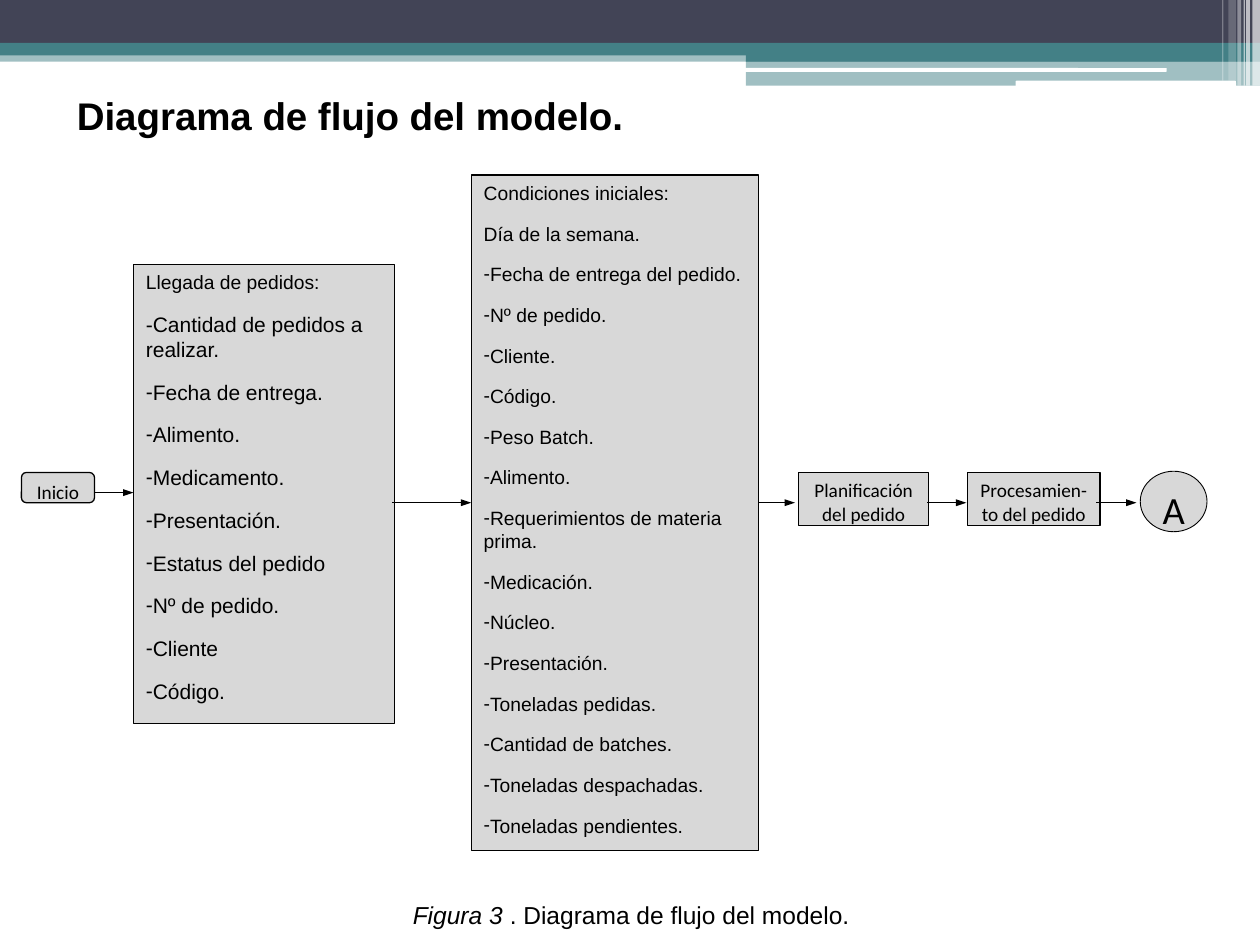
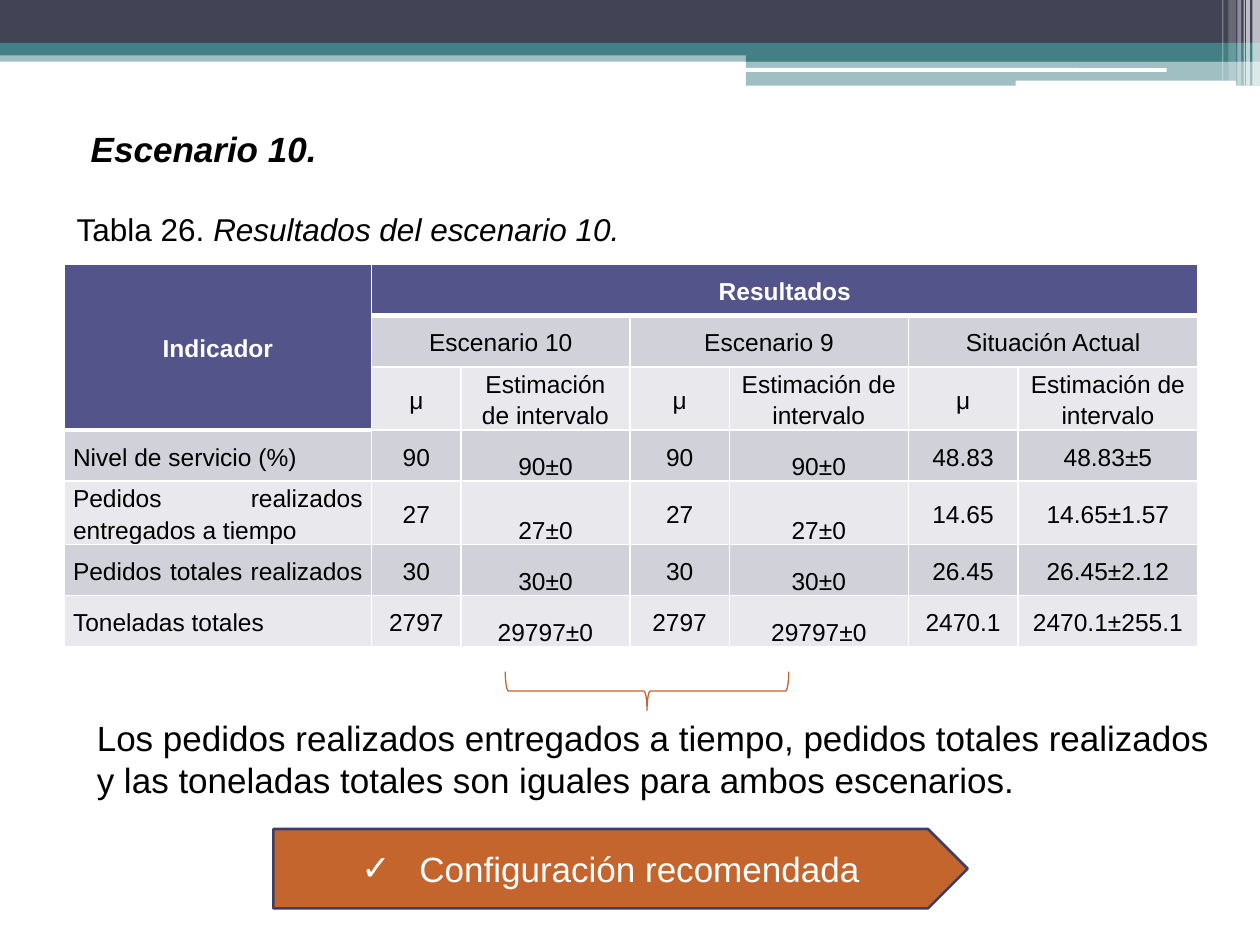
from dataclasses import dataclass

from lxml import etree
from pptx import Presentation
from pptx.dml.color import RGBColor
from pptx.enum.shapes import MSO_CONNECTOR, MSO_SHAPE
from pptx.enum.text import MSO_ANCHOR, PP_ALIGN
from pptx.oxml.ns import qn
from pptx.util import Inches, Pt

LEFT, CENTER, JUSTIFY = PP_ALIGN.LEFT, PP_ALIGN.CENTER, PP_ALIGN.JUSTIFY
TOP, MIDDLE, BOTTOM = MSO_ANCHOR.TOP, MSO_ANCHOR.MIDDLE, MSO_ANCHOR.BOTTOM
RECTANGLE, ROUNDED = MSO_SHAPE.RECTANGLE, MSO_SHAPE.ROUNDED_RECTANGLE
ELLIPSE, PENTAGON = MSO_SHAPE.OVAL, MSO_SHAPE.PENTAGON
BRACE = MSO_SHAPE.RIGHT_BRACE
STRAIGHT = MSO_CONNECTOR.STRAIGHT


@dataclass(frozen=True)
class Theme:
    font: str = "Arial"
    step_font: str = "Calibri"
    black: str = "000000"
    white: str = "FFFFFF"
    navy: str = "424456"
    teal: str = "438086"
    gray: str = "D8D8D8"
    header: str = "53548A"
    row_dark: str = "D1D1DA"
    row_light: str = "E9E9ED"
    orange: str = "C4652D"
    outline: str = "3D3E66"
    small: int = 11
    list_size: int = 12
    body: int = 14
    caption: int = 18
    large: int = 20
    title: int = 22


THEME = Theme()

BANDS = [
    (RECTANGLE, (0, 0.4, 10, 0.09), THEME.teal, 50),
    (RECTANGLE, (0, 0, 10, 0.34), THEME.navy, 100),
    (RECTANGLE, (0, 0.34, 10, 0.1), THEME.teal, 100),
    (RECTANGLE, (5.92, 0.39, 4.08, 0.1), THEME.teal, 100),
    (RECTANGLE, (5.92, 0.48, 4.08, 0.2), THEME.teal, 50),
    (ROUNDED, (5.91, 0.54, 3.35, 0.03), THEME.white, 100),
    (ROUNDED, (8.06, 0.64, 1.75, 0.05), THEME.white, 100),
]
STRIPES = [
    (9.94, 0.06, 0.68, 65),
    (9.89, 0.03, 0.68, 65),
    (9.87, 0.01, 0.68, 60),
    (9.82, 0.03, 0.68, 40),
    (9.75, 0.06, 0.64, 20),
    (9.7, 0.01, 0.64, 30),
]

ORDER_FIELDS = [
    "Fecha de entrega.", "Alimento.", "Medicamento.", "Presentación.",
    "Estatus del pedido", "Nº de pedido.", "Cliente", "Código.",
]
CONDITION_FIELDS = [
    "Fecha de entrega del pedido.", "Nº de pedido.", "Cliente.", "Código.",
    "Peso Batch.", "Alimento.", "Requerimientos de materia prima.",
    "Medicación.", "Núcleo.", "Presentación.", "Toneladas pedidas.",
    "Cantidad de batches.", "Toneladas despachadas.", "Toneladas pendientes.",
]
ARROWS = [(0.75, 1.06, 3.91), (3.11, 3.74, 3.99), (6.02, 6.31, 3.99),
          (7.36, 7.67, 3.99), (8.7, 9.02, 3.99)]

COLUMN_WIDTHS = [2.44, 0.71, 1.34, 0.79, 1.42, 0.87, 1.43]
TABLE_HEIGHT = 2.84
SCENARIOS = ["Escenario 10", "Escenario 9", "Situación Actual"]
RESULTS = [
    ["Nivel de servicio (%)", "90", "90±0", "90", "90±0", "48.83", "48.83±5"],
    ["Pedidos realizados entregados a tiempo", "27", "27±0", "27", "27±0", "14.65", "14.65±1.57"],
    ["Pedidos totales realizados ", "30", "30±0", "30", "30±0", "26.45", "26.45±2.12"],
    ["Toneladas totales", "2797", "29797±0", "2797", "29797±0", "2470.1", "2470.1±255.1"],
]


def rgb(color):
    return RGBColor.from_string(color)


def box_inches(box):
    return [Inches(value) for value in box]


def write_paragraph(paragraph, text, size=THEME.body, font=THEME.font, color=THEME.black,
                    bold=False, italic=False, align=LEFT, after=0, line_spacing=None,
                    bullet=None, hanging=0):
    paragraph.alignment = align
    paragraph.space_before = Pt(0)
    paragraph.space_after = Pt(after)
    if line_spacing:
        paragraph.line_spacing = line_spacing
    if bullet:
        properties = paragraph._p.get_or_add_pPr()
        properties.set("marL", str(Inches(hanging)))
        properties.set("indent", str(-Inches(hanging)))
        etree.SubElement(properties, qn("a:buFont")).set("typeface", font)
        etree.SubElement(properties, qn("a:buChar")).set("char", bullet)
    parts = [(text, italic)] if isinstance(text, str) else text
    for part, part_italic in parts:
        run = paragraph.add_run()
        run.text = part
        run.font.name = font
        run.font.size = Pt(size)
        run.font.bold = bold
        run.font.italic = part_italic
        run.font.color.rgb = rgb(color)


def write_frame(frame, items, anchor=TOP, **style):
    frame.word_wrap = True
    frame.vertical_anchor = anchor
    for index, (text, changes) in enumerate(items):
        paragraph = frame.add_paragraph() if index else frame.paragraphs[0]
        write_paragraph(paragraph, text, **{**style, **changes})


def add_block(slide, kind, box, fill=None, line=None, line_width=0.75, opacity=100):
    shape = slide.shapes.add_shape(kind, *box_inches(box))
    shape.shadow.inherit = False
    if fill:
        shape.fill.solid()
        shape.fill.fore_color.rgb = rgb(fill)
    else:
        shape.fill.background()
    if opacity < 100:
        color = shape.element.spPr.find(qn("a:solidFill")).find(qn("a:srgbClr"))
        etree.SubElement(color, qn("a:alpha")).set("val", str(opacity * 1000))
    if line:
        shape.line.color.rgb = rgb(line)
        shape.line.width = Pt(line_width)
    else:
        shape.line.fill.background()
    return shape


def add_flow_box(slide, kind, box, items, line_width=0.75, **style):
    shape = add_block(slide, kind, box, THEME.gray, THEME.black, line_width)
    write_frame(shape.text_frame, items, after=10, **style)


def add_step(slide, kind, box, text, size=THEME.small, line_width=0.75):
    add_flow_box(slide, kind, box, [(text, {})], line_width,
                 size=size, font=THEME.step_font, align=CENTER)


def add_arrow(slide, start, end, height):
    connector = slide.shapes.add_connector(
        STRAIGHT, *box_inches((start, height, end, height)))
    connector.line.color.rgb = rgb(THEME.black)
    connector.line.width = Pt(0.75)
    properties = connector.element.spPr
    head = etree.SubElement(properties.find(qn("a:ln")), qn("a:tailEnd"))
    head.set("type", "triangle")
    head.set("w", "sm")
    etree.SubElement(properties, qn("a:effectLst"))


def add_text(slide, box, text, **style):
    text_box = slide.shapes.add_textbox(*box_inches(box))
    write_frame(text_box.text_frame, [(text, {})], **style)


def set_title(slide, box, text, **style):
    title = slide.shapes.title
    title.left, title.top, title.width, title.height = box_inches(box)
    write_frame(title.text_frame, [(text, {})], bold=True, **style)


def add_bands(layout, slide):
    stripes = [(RECTANGLE, (left, 0, width, height), THEME.white, opacity)
               for left, width, height, opacity in STRIPES]
    for kind, box, color, opacity in BANDS + stripes:
        band = add_block(slide, kind, box, color, opacity=opacity)
        layout.shapes.element.append(band.element)


def set_borders(cell, bottom_width):
    properties = cell._tc.get_or_add_tcPr()
    widths = {"a:lnL": 1, "a:lnR": 1, "a:lnT": 1, "a:lnB": bottom_width}
    for index, (tag, width) in enumerate(widths.items()):
        border = etree.Element(qn(tag))
        border.set("w", str(Pt(width)))
        fill = etree.SubElement(border, qn("a:solidFill"))
        etree.SubElement(fill, qn("a:srgbClr")).set("val", THEME.white)
        properties.insert(index, border)


def format_cell(cell, text, fill, anchor=MIDDLE, bottom_width=1, **style):
    cell.margin_left = cell.margin_right = Inches(0.07)
    cell.margin_top = cell.margin_bottom = 0
    cell.vertical_anchor = anchor
    cell.fill.solid()
    cell.fill.fore_color.rgb = rgb(fill)
    set_borders(cell, bottom_width)
    write_paragraph(cell.text_frame.paragraphs[0], text, line_spacing=1.15, **style)


def add_results_table(slide):
    rows = [
        ["Indicador", "Resultados"] + [""] * 5,
        [""] + [text for name in SCENARIOS for text in (name, "")],
        [""] + ["μ", "Estimación de intervalo"] * 3,
    ] + RESULTS
    table = slide.shapes.add_table(
        len(rows), len(COLUMN_WIDTHS),
        *box_inches((0.51, 2.1, sum(COLUMN_WIDTHS), TABLE_HEIGHT))).table
    for column, width in zip(table.columns, COLUMN_WIDTHS):
        column.width = Inches(width)
    table.cell(0, 0).merge(table.cell(2, 0))
    table.cell(0, 1).merge(table.cell(0, 6))
    for column in (1, 3, 5):
        table.cell(1, column).merge(table.cell(1, column + 1))
    for row, values in enumerate(rows):
        for column, text in enumerate(values):
            is_header = row == 0 or (column == 0 and row < 3)
            stripe = THEME.row_dark if row % 2 else THEME.row_light
            format_cell(
                table.cell(row, column), text,
                fill=THEME.header if is_header else stripe,
                anchor=BOTTOM if row > 2 and column in (2, 4) else MIDDLE,
                bottom_width=3 if is_header else 1,
                color=THEME.white if is_header else THEME.black,
                bold=is_header,
                align=JUSTIFY if row > 2 and column == 0 else CENTER)


def build_flow_slide(slide):
    set_title(slide, (0.51, 0.68, 4.96, 0.47), "Diagrama de flujo del modelo.",
              size=THEME.title)
    add_step(slide, ROUNDED, (0.17, 3.75, 0.58, 0.24), "Inicio")
    orders = [("Llegada de pedidos:", {"size": THEME.small}),
              ("-Cantidad de pedidos a realizar.", {})]
    orders += [(field, {"bullet": "-"}) for field in ORDER_FIELDS]
    add_flow_box(slide, RECTANGLE, (1.06, 2.1, 2.07, 3.64), orders, size=THEME.list_size)
    conditions = [("Condiciones iniciales:", {}), ("Día de la semana.", {})]
    conditions += [(field, {"bullet": "-"}) for field in CONDITION_FIELDS]
    add_flow_box(slide, RECTANGLE, (3.74, 1.39, 2.28, 5.36), conditions, size=THEME.small)
    add_step(slide, RECTANGLE, (6.34, 3.75, 1.03, 0.42), "Planificación del pedido")
    add_step(slide, RECTANGLE, (7.68, 3.75, 1.05, 0.42), "Procesamien-to del pedido")
    add_step(slide, ELLIPSE, (9.05, 3.74, 0.53, 0.48), "A", size=THEME.title, line_width=0.5)
    for start, end, height in ARROWS:
        add_arrow(slide, start, end, height)
    caption = add_block(slide, RECTANGLE, (0.22, 7.14, 9.58, 0.24), THEME.white)
    frame = caption.text_frame
    frame.margin_left = frame.margin_right = frame.margin_top = frame.margin_bottom = 0
    write_frame(frame, [([("Figura 3 ", True), (". Diagrama de flujo del modelo.", False)], {})],
                align=CENTER)


def build_results_slide(slide):
    set_title(slide, (0.62, 0.96, 8.66, 0.77), "Escenario 10.",
              size=THEME.large, italic=True, align=JUSTIFY)
    add_results_table(slide)
    add_text(slide, (0.51, 1.62, 5.51, 0.71),
             [("Tabla 26. ", False), ("Resultados del escenario 10.", True)],
             size=THEME.caption)
    add_text(slide, (0.67, 5.64, 9.06, 0.77),
             "Los pedidos realizados entregados a tiempo, pedidos totales realizados "
             "y las toneladas totales son iguales para ambos escenarios.", size=THEME.large)
    brace = add_block(slide, BRACE, (4.98, 4.36, 0.31, 2.25), line=THEME.orange)
    brace.rotation = 90
    banner = add_block(slide, PENTAGON, (2.17, 6.58, 5.51, 0.63),
                       THEME.orange, THEME.outline, 1.5)
    write_frame(banner.text_frame, [("Configuración recomendada", {})], anchor=MIDDLE,
                size=THEME.large, color=THEME.white, align=CENTER, bullet="✓", hanging=0.46)


def main():
    presentation = Presentation()
    presentation.slide_width, presentation.slide_height = Inches(10), Inches(7.5)
    layout = presentation.slide_layouts[5]
    flow_slide = presentation.slides.add_slide(layout)
    results_slide = presentation.slides.add_slide(layout)
    add_bands(layout, flow_slide)
    build_flow_slide(flow_slide)
    build_results_slide(results_slide)
    presentation.save("out.pptx")


if __name__ == "__main__":
    main()
